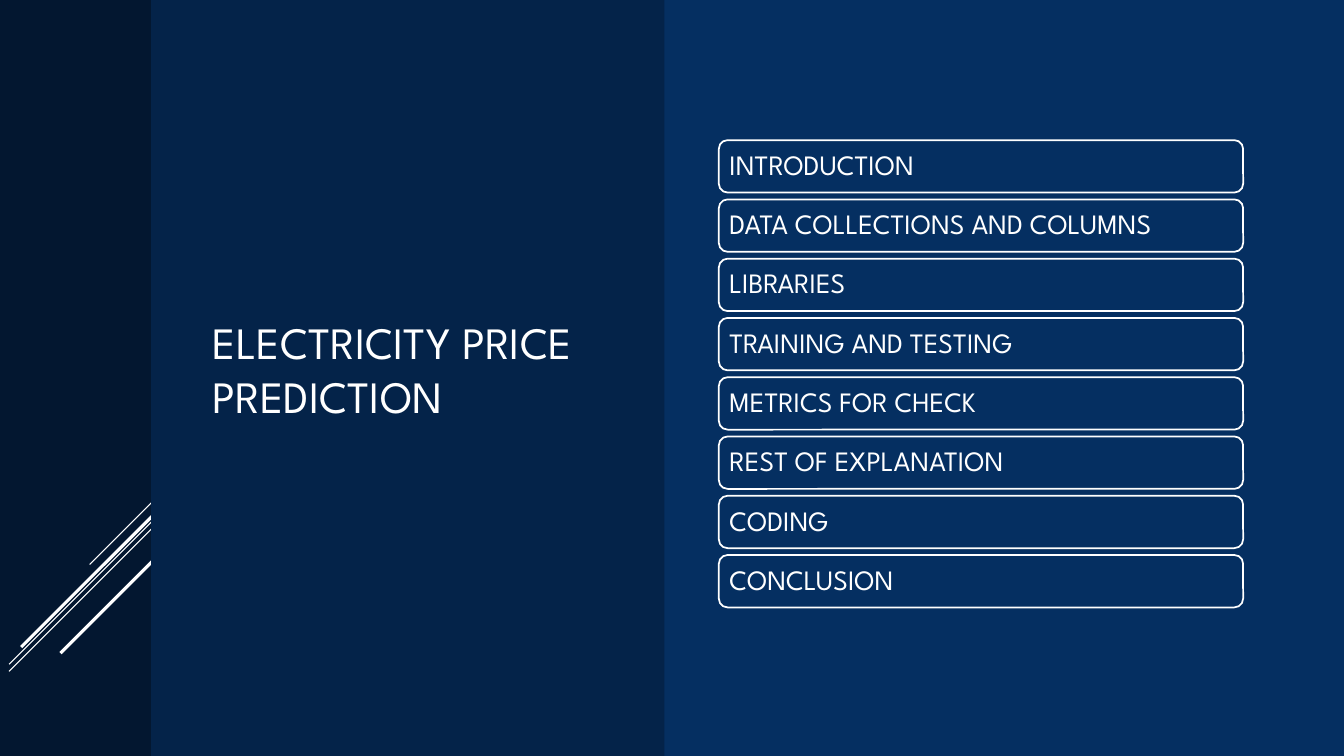
"""Build the agenda slide for an electricity price prediction talk."""
from lxml import etree
from pptx import Presentation
from pptx.dml.color import RGBColor
from pptx.enum.shapes import MSO_CONNECTOR, MSO_SHAPE
from pptx.enum.text import MSO_ANCHOR, PP_ALIGN
from pptx.oxml.ns import qn
from pptx.util import Inches, Pt

RECT, ROUNDED = MSO_SHAPE.RECTANGLE, MSO_SHAPE.ROUNDED_RECTANGLE
STRAIGHT = MSO_CONNECTOR.STRAIGHT
MIDDLE, LEFT = MSO_ANCHOR.MIDDLE, PP_ALIGN.LEFT

TITLE = "ELECTRICITY PRICE PREDICTION"
TOPICS = [
    "INTRODUCTION",
    "DATA COLLECTIONS AND COLUMNS",
    "LIBRARIES",
    "TRAINING AND TESTING",
    "METRICS FOR CHECK",
    "REST OF EXPLANATION",
    "CODING",
    "CONCLUSION",
]
COLORS = {"back": "146194", "base": "052F61", "strip": "031730",
          "panel": "042349", "white": "FFFFFF"}
FONT = "League Spartan"
WIDTH, HEIGHT = 13.33, 7.5

STRIPE_RIGHT = 1.64
STRIPES = [(4.85, 0.75, 0.75), (5.04, 1.55, 0.75), (5.11, 1.55, 0.75),
           (4.99, 1.43, 2.25), (5.44, 1.04, 2.25)]
BACKDROPS = [(0, WIDTH, "base"), (0, 1.57, "strip")]
PANEL = (1.5, 5.09, "panel")
TITLE_BOX = (2.01, 0.75, 4.05, 5.81)
LIST_LEFT, LIST_TOP, LIST_WIDTH = 7.13, 1.39, 5.2
ROW_HEIGHT, ROW_PITCH = 0.52, 0.588


def rgb(name):
    return RGBColor.from_string(COLORS[name])


def add_box(s, kind, box, color):
    sp = s.shapes.add_shape(kind, *map(Inches, box))
    sp.shadow.inherit = False
    sp.fill.solid()
    sp.fill.fore_color.rgb = rgb(color)
    sp.line.fill.background()
    return sp


def add_band(s, left, width, color):
    add_box(s, RECT, (left, 0, width, HEIGHT), color)


def add_stripe(s, top, span, weight):
    ends = (STRIPE_RIGHT, top, STRIPE_RIGHT - span, top + span)
    line = s.shapes.add_connector(STRAIGHT, *map(Inches, ends))
    line.line.color.rgb = rgb("white")
    line.line.width = Pt(weight)
    etree.SubElement(line._element.spPr, qn("a:effectLst"))


def write(sp, text, size, **frame):
    tf = sp.text_frame
    for name, value in {"word_wrap": True, "vertical_anchor": MIDDLE, **frame}.items():
        setattr(tf, name, value)
    p = tf.paragraphs[0]
    p.alignment = LEFT
    p.line_spacing = 0.9
    r = p.add_run()
    r.text = text
    for name, value in {"name": FONT, "size": Pt(size)}.items():
        setattr(r.font, name, value)
    r.font.color.rgb = rgb("white")
    return p


def add_topic(s, row, text):
    top = LIST_TOP + row * ROW_PITCH
    sp = add_box(s, ROUNDED, (LIST_LEFT, top, LIST_WIDTH, ROW_HEIGHT), "base")
    sp.line.color.rgb = rgb("white")
    sp.line.width = Pt(1.25)
    sides = ("left", "top", "right", "bottom")
    write(sp, text, 20, **{f"margin_{side}": Inches(0.08) for side in sides})


def place_title(s):
    title = s.shapes.title
    for name, value in zip(("left", "top", "width", "height"), TITLE_BOX):
        setattr(title, name, Inches(value))
    p = write(title, TITLE, 32)
    p.line_spacing = 1.0
    s.shapes._spTree.append(title._element)


def main():
    prs = Presentation()
    prs.slide_width, prs.slide_height = Inches(WIDTH), Inches(HEIGHT)
    s = prs.slides.add_slide(prs.slide_layouts[5])
    s.background.fill.solid()
    s.background.fill.fore_color.rgb = rgb("back")
    for band in BACKDROPS:
        add_band(s, *band)
    for stripe in STRIPES:
        add_stripe(s, *stripe)
    add_band(s, *PANEL)
    place_title(s)
    for row, text in enumerate(TOPICS):
        add_topic(s, row, text)
    prs.save("out.pptx")


if __name__ == "__main__":
    main()
